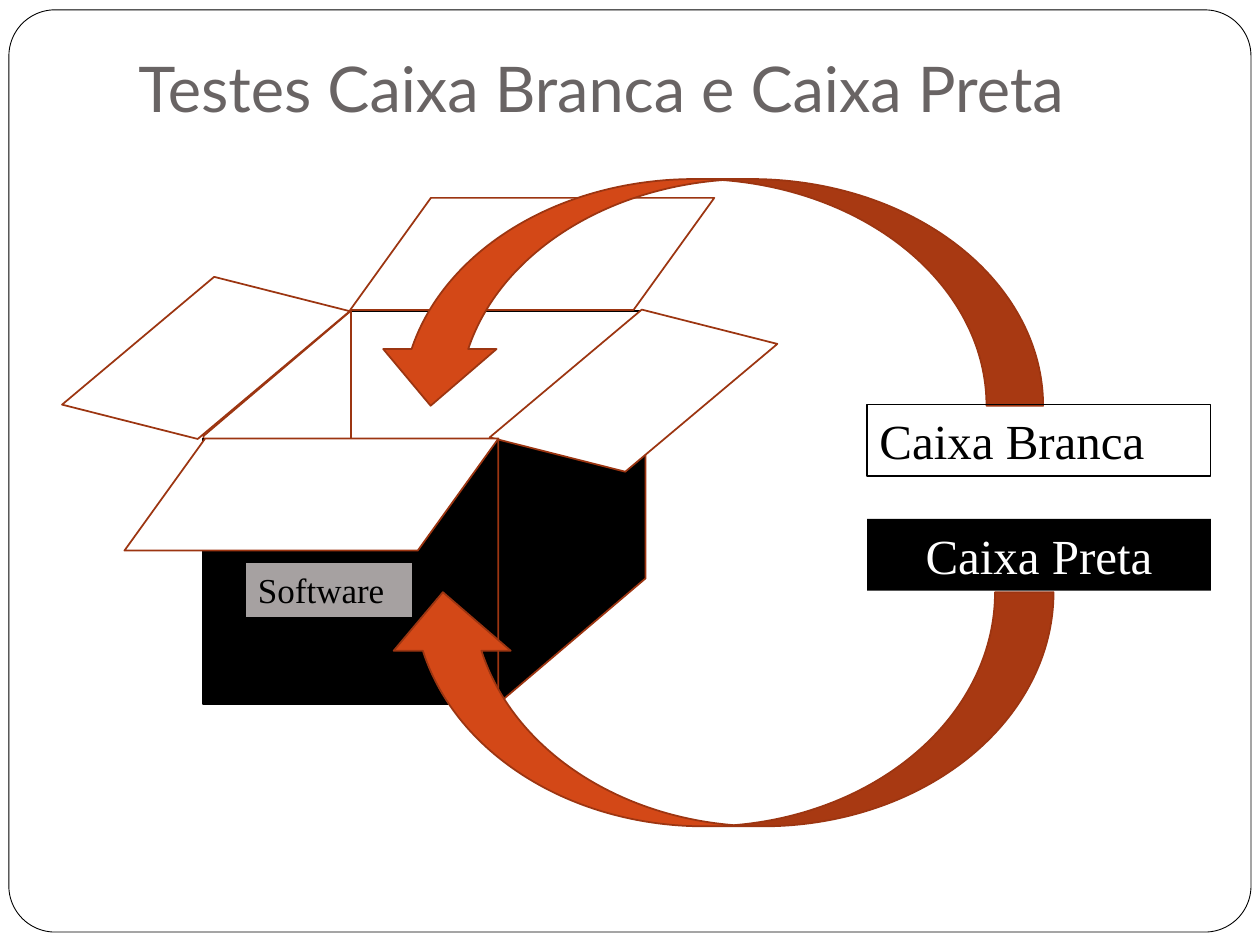
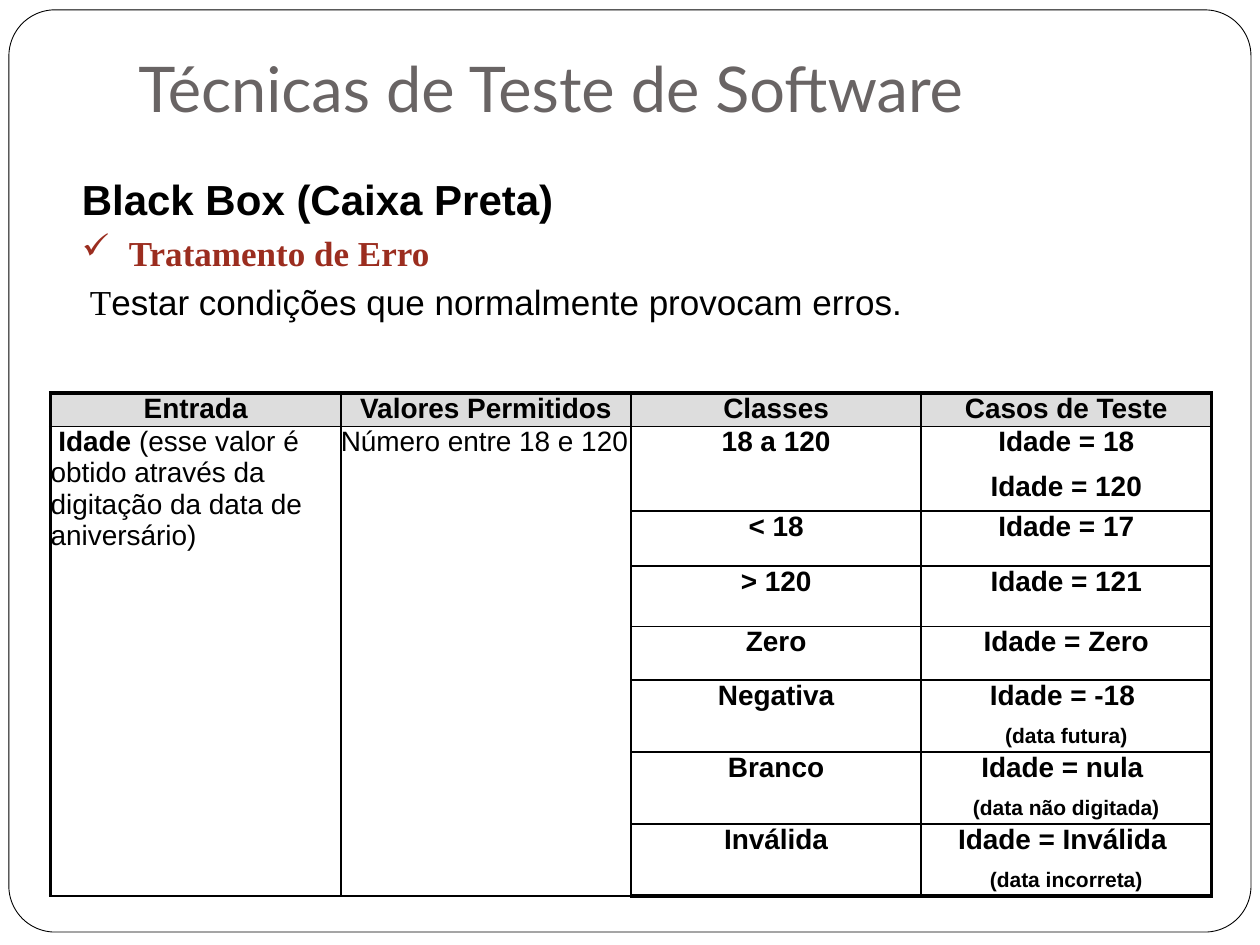
from pptx import Presentation
from pptx.dml.color import RGBColor
from pptx.enum.shapes import MSO_SHAPE as SHAPE
from pptx.enum.text import MSO_ANCHOR as ANCHOR, PP_ALIGN as ALIGN
from pptx.oxml.ns import qn
from pptx.util import Cm, Pt
from lxml.etree import Element, SubElement

COLORS = {
    "white": "FFFFFF",
    "black": "000000",
    "title": "696464",
    "arrow": "D34817",
    "edge": "9C3511",
    "software": "A6A1A1",
    "accent": "9B2D1F",
    "header": "DDDDDD",
}
SERIF, SANS, TITLE_FONT = "Times New Roman", "Arial", "Lato"

HEADERS = ["Entrada", "Valores Permitidos", "Classes", "Casos de Teste"]
TEST_CASES = [
    ("18 a 120", ["Idade = 18", "Idade = 120"]),
    ("< 18", ["Idade = 17"]),
    ("> 120", ["Idade = 121"]),
    ("Zero", ["Idade = Zero"]),
    ("Negativa", ["Idade = -18 ", "(data futura)"]),
    ("Branco", ["Idade = nula ", "(data não digitada)"]),
    ("Inválida", ["Idade = Inválida ", "(data incorreta)"]),
]
ROW_HEIGHTS = [0.68, 1.7, 1.11, 1.22, 1.08, 1.44, 1.44, 1.44]


def rgb(color):
    """Return the named palette colour."""
    return RGBColor.from_string(COLORS[color])


def style_font(font, size, name=None, color="black", bold=False):
    """Set the look of a font."""
    font.size, font.bold = Pt(size), bold
    font.color.rgb = rgb(color)
    if name:
        font.name = name


def add_shape(shapes, kind, box, fill=None, line=None, width=1.0,
              adjust=None, rotation=0, flips=""):
    """Add a preset shape; box is left, top, width, height in cm."""
    shape = shapes.add_shape(kind, *map(Cm, box))
    shape.shadow.inherit = False
    if fill:
        shape.fill.solid()
        shape.fill.fore_color.rgb = rgb(fill)
    else:
        shape.fill.background()
    if line:
        shape.line.color.rgb = rgb(line)
        shape.line.width = Pt(width)
    else:
        shape.line.fill.background()
    if adjust is not None:
        shape.adjustments[0] = adjust
    shape.rotation = rotation
    for axis in flips:
        shape.element.spPr.xfrm.set(f"flip{axis}", "1")
    return shape


def add_label(slide, text, box, size, fill=None, line=None, color="black", align=ALIGN.LEFT):
    """Add a rectangle with one line of serif text."""
    label = add_shape(slide.shapes, SHAPE.RECTANGLE, box, fill, line, 0.75)
    frame = label.text_frame
    frame.word_wrap = True
    frame.vertical_anchor = ANCHOR.TOP
    paragraph = frame.paragraphs[0]
    paragraph.text, paragraph.alignment = text, align
    style_font(paragraph.font, size, SERIF, color)


def add_titled_slide(deck, title):
    """Add a blank slide with the rounded frame and the title."""
    slide = deck.slides.add_slide(deck.slide_layouts[6])
    add_shape(slide.shapes, SHAPE.ROUNDED_RECTANGLE, (0.18, 0.2, 25.04, 18.59),
              "white", "black", 0.5, 0.05)
    heading = slide.shapes.add_textbox(Cm(2.54), Cm(0.76), Cm(21.59), Cm(2.01)).text_frame
    heading.word_wrap = True
    heading.vertical_anchor = ANCHOR.BOTTOM
    heading.margin_bottom = Cm(0.25)
    paragraph = heading.paragraphs[0]
    paragraph.text = title
    style_font(paragraph.font, 36, TITLE_FONT, "title")
    return slide


def draw_open_box(slide):
    """Draw the carton, its walls and its four open flaps."""
    carton = slide.shapes.add_group_shape().shapes
    add_shape(carton, SHAPE.RECTANGLE, (7.06, 6.27, 5.94, 5.36), "white", "black")

    def add_panel(box, fill="white", adjust=0.72, **turn):
        """Add one slanted side of the carton."""
        add_shape(carton, SHAPE.PARALLELOGRAM, box, fill, "edge", adjust=adjust, **turn)

    wall = {"adjust": 0.85, "rotation": 90, "flips": "V"}
    add_panel((1.63, 8.74, 7.92, 2.97), **wall)
    add_shape(carton, SHAPE.RECTANGLE, (4.09, 8.84, 5.97, 5.36), "black", "black")
    add_panel((7.57, 8.74, 7.92, 2.97), "black", **wall)
    for left, top in ((1.57, 5.59), (10.19, 6.25)):
        add_panel((left, top, 5.16, 3.25), rotation=194.2)
    add_panel((7.06, 3.99, 7.34, 2.26))
    add_panel((2.51, 8.84, 7.54, 2.26))


def add_curved_arrow(slide, box, flips):
    """Add a curved arrow from a label to the carton."""
    add_shape(slide.shapes, SHAPE.CURVED_DOWN_ARROW, box, "arrow", "edge", flips=flips)


def hang(paragraph, bullet=None):
    """Give a paragraph a hanging indent and perhaps a bullet."""
    paragraph.space_before = Pt(4)
    properties = paragraph._p.get_or_add_pPr()
    properties.set("marL", str(Cm(0.95)))
    properties.set("indent", str(-Cm(0.95)))
    if bullet:
        SubElement(properties, qn("a:buChar"), char=bullet)


def add_error_handling_text(slide):
    """Add the heading, the topic and its explanation."""
    frame = slide.shapes.add_textbox(Cm(1.4), Cm(3.38), Cm(22.43), Cm(3.33)).text_frame
    frame.word_wrap = True
    heading = frame.paragraphs[0]
    heading.text = "Black Box (Caixa Preta)"
    style_font(heading.font, 24, SANS, bold=True)

    topic = frame.add_paragraph()
    topic.text = "Tratamento de Erro"
    hang(topic, "✓")
    style_font(topic.font, 20, SERIF, "accent", True)

    explanation = frame.add_paragraph()
    hang(explanation)
    style_font(explanation.font, 20)
    for text, name in ((" T", SERIF), ("estar condições que normalmente provocam erros.", SANS)):
        run = explanation.add_run()
        run.text, run.font.name = text, name


def set_borders(cell, widths):
    """Draw the cell borders; widths are left, right, top, bottom in points."""
    properties = cell._tc.get_or_add_tcPr()
    for index, (side, width) in enumerate(zip("LRTB", widths)):
        border = Element(qn(f"a:ln{side}"), w=str(Pt(width)))
        fill = SubElement(border, qn("a:solidFill"))
        SubElement(fill, qn("a:srgbClr"), val=COLORS["black"])
        properties.insert(index, border)


def write_cell(cell, lines, align=ALIGN.CENTER, bold=True):
    """Write lines in a cell, with notes in brackets smaller."""
    frame = cell.text_frame
    for index, line in enumerate(lines):
        paragraph = frame.add_paragraph() if index else frame.paragraphs[0]
        paragraph.text, paragraph.alignment = line, align
        if index:
            paragraph.space_before = Pt(7.5)
        style_font(paragraph.font, 12 if line.startswith("(") else 16, SANS, bold=bold)


def add_test_table(slide):
    """Add the table of input classes and test cases."""
    row_count, column_count = len(ROW_HEIGHTS), len(HEADERS)
    table = slide.shapes.add_table(row_count, column_count, Cm(1.02), Cm(7.92),
                                   Cm(23.4), Cm(sum(ROW_HEIGHTS))).table
    table.first_row = table.horz_banding = False
    for column in table.columns:
        column.width = Cm(5.85)
    for r, height in enumerate(ROW_HEIGHTS):
        table.rows[r].height = Cm(height)
        for c in range(column_count):
            cell = table.cell(r, c)
            cell.margin_left = cell.margin_right = cell.margin_top = cell.margin_bottom = 0
            if r == 0:
                cell.fill.solid()
                cell.fill.fore_color.rgb = rgb("header")
            else:
                cell.fill.background()
            outer = (c == 0, c == column_count - 1, r == 0, r == row_count - 1)
            set_borders(cell, [2.25 if edge else 1 for edge in outer])

    for c, header in enumerate(HEADERS):
        write_cell(table.cell(0, c), [header])
    for r, (input_class, cases) in enumerate(TEST_CASES, start=1):
        write_cell(table.cell(r, 2), [input_class])
        write_cell(table.cell(r, 3), cases)
    for c in (0, 1):
        table.cell(1, c).merge(table.cell(row_count - 1, c))
    write_cell(table.cell(1, 1), ["Número entre 18 e 120"], ALIGN.LEFT, False)
    entry = table.cell(1, 0)
    write_cell(entry, [" Idade"], ALIGN.LEFT, False)
    entry_line = entry.text_frame.paragraphs[0]
    entry_line.runs[0].font.bold = True
    entry_line.add_run().text = " (esse valor é obtido através da digitação da data de aniversário)"


def build_box_slide(deck):
    """Build the slide comparing white box and black box."""
    slide = add_titled_slide(deck, "Testes Caixa Branca e Caixa Preta")
    draw_open_box(slide)
    add_curved_arrow(slide, (7.54, 3.61, 13.49, 4.57), "H")
    add_label(slide, "Caixa Branca", (17.48, 8.15, 6.93, 1.45), 28, line="black")
    add_curved_arrow(slide, (7.75, 11.94, 13.49, 4.72), "HV")
    add_label(slide, "Caixa Preta", (17.48, 10.46, 6.93, 1.45), 28, "black",
              color="white", align=ALIGN.CENTER)
    add_label(slide, "Software", (4.95, 11.33, 3.38, 1.12), 20, "software", "black")


def build_technique_slide(deck):
    """Build the slide on error handling tests."""
    slide = add_titled_slide(deck, "Técnicas de Teste de Software")
    add_error_handling_text(slide)
    add_test_table(slide)


def main():
    """Build and save the presentation."""
    deck = Presentation()
    deck.slide_width, deck.slide_height = Cm(25.4), Cm(19.05)
    build_box_slide(deck)
    build_technique_slide(deck)
    deck.save("out.pptx")


if __name__ == "__main__":
    main()
